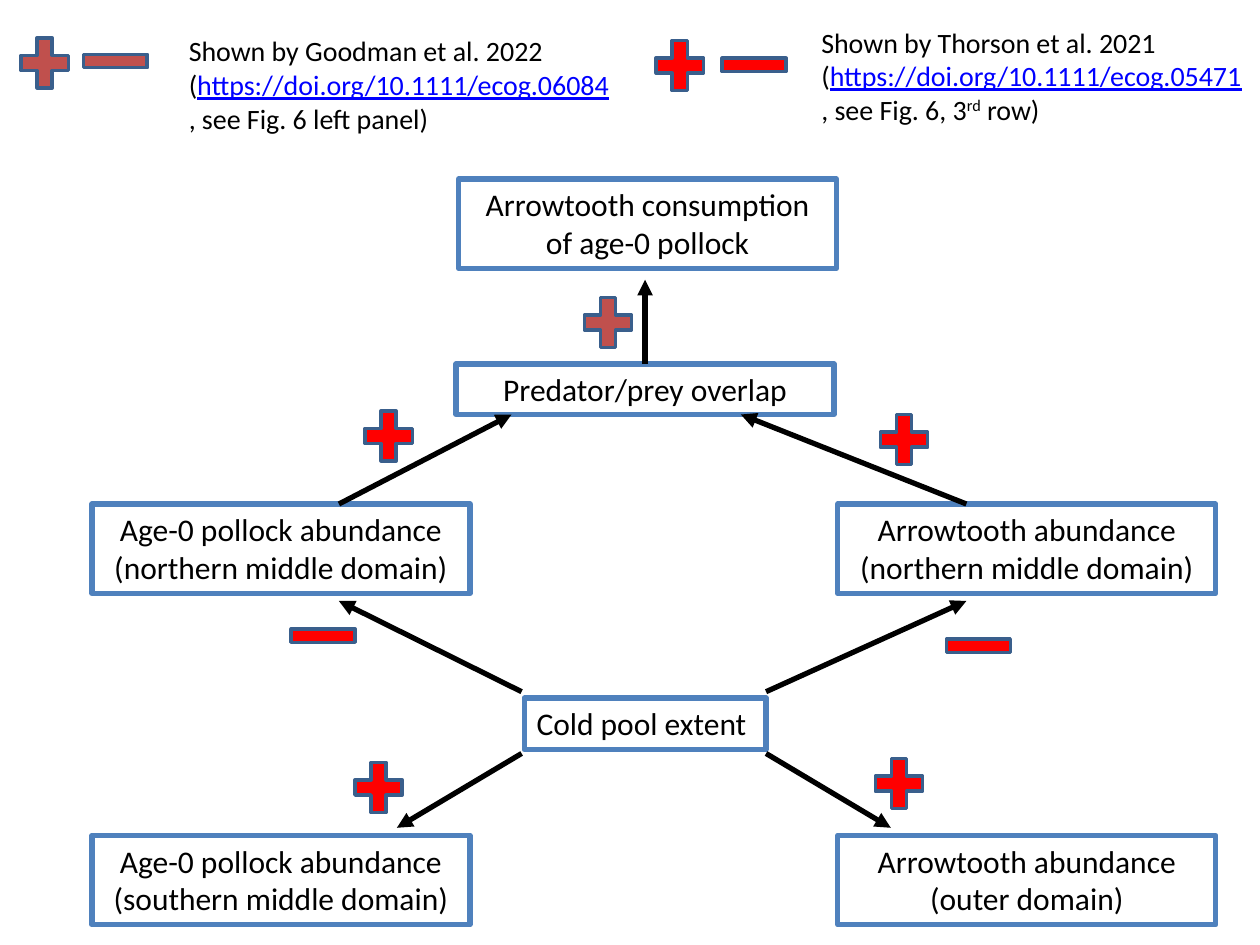
"""Build a slide of the links between cold pool extent and pollock consumption."""
from lxml import etree
from pptx import Presentation, util as u
from pptx.dml.color import RGBColor
from pptx.enum import shapes, text
from pptx.oxml.ns import qn

BLACK, BLUE, EDGE, LINK = "000000", "4F81BD", "3A5F8C", "0000FF"
GOODMAN, THORSON = "C0504D", "FF0000"


def colour(value):
    return RGBColor.from_string(value)


def add_span(para, words, size, shade=BLACK):
    span = para.add_run()
    span.text = words
    span.font.size = u.Pt(size)
    span.font.name = "Calibri"
    span.font.color.rgb = colour(shade)
    return span


deck = Presentation()
deck.slide_width, deck.slide_height = u.Inches(10), u.Inches(7.5)
page = deck.slides.add_slide(deck.slide_layouts[6])

left, right, wide = 0.73, 6.65, 3
north, south = 4, 6.63
centre = text.PP_ALIGN.CENTER
boxes = []
for x, y, width, height, align, lines in [
    (4.16, 5.54, 1.92, 0.41, text.PP_ALIGN.LEFT, ["Cold pool extent"]),
    (left, south, wide, 0.71, centre, ["Age-0 pollock abundance", "(southern middle domain)"]),
    (left, north, wide, 0.71, centre, ["Age-0 pollock abundance", "(northern middle domain)"]),
    (right, north, wide, 0.71, centre, ["Arrowtooth abundance", "(northern middle domain)"]),
    (right, south, wide, 0.71, centre, ["Arrowtooth abundance", "(outer domain)"]),
    (3.64, 1.42, wide, 0.71, centre, ["Arrowtooth consumption of age-0 pollock"]),
    (3.62, 2.89, wide, 0.4, centre, ["Predator/prey overlap"]),
]:
    box = page.shapes.add_shape(shapes.MSO_SHAPE.RECTANGLE, u.Inches(x), u.Inches(y), u.Inches(width), u.Inches(height))
    box.shadow.inherit = False
    box.fill.background()
    box.line.color.rgb = colour(BLUE)
    box.line.width = u.Pt(3)
    frame = box.text_frame
    frame.word_wrap = True
    frame.vertical_anchor = text.MSO_ANCHOR.TOP
    for index, line in enumerate(lines):
        para = frame.add_paragraph() if index else frame.paragraphs[0]
        para.alignment = align
        add_span(para, line, 18)
    boxes.append(box)
overlap = boxes[-1]

arrows = []
for x1, y1, x2, y2 in [
    (4.14, 5.98, 3.15, 6.57),
    (6.08, 5.98, 7.07, 6.57),
    (4.14, 5.49, 2.69, 4.77),
    (6.08, 5.49, 7.67, 4.77),
    (2.69, 4, 4.06, 3.29),
    (7.67, 4, 5.88, 3.29),
    (5.12, 2.89, 5.12, 2.22),
]:
    arrow = page.shapes.add_connector(
        shapes.MSO_CONNECTOR.STRAIGHT, u.Inches(x1), u.Inches(y1), u.Inches(x2), u.Inches(y2)
    )
    arrow.line.color.rgb = colour(BLACK)
    arrow.line.width = u.Pt(3)
    etree.SubElement(arrow.line._get_or_add_ln(), qn("a:tailEnd"), type="triangle")
    etree.SubElement(arrow._element.spPr, qn("a:effectLst"))
    arrows.append(arrow)
arrows[-1].begin_connect(overlap, 0)

plus = (shapes.MSO_SHAPE.MATH_PLUS, 0.51, 0.54)
minus = (shapes.MSO_SHAPE.MATH_MINUS, 0.69, 0.45)
for (kind, width, height), shade, places in [
    (plus, GOODMAN, [(0.1, 0.23), (4.57, 2.29)]),
    (minus, GOODMAN, [(0.57, 0.26)]),
    (plus, THORSON, [(5.14, 0.25), (2.83, 3.19), (6.92, 3.22), (2.75, 5.98), (6.88, 5.95)]),
    (minus, THORSON, [(5.64, 0.29), (2.22, 4.82), (7.42, 4.9)]),
]:
    for x, y in places:
        sign = page.shapes.add_shape(kind, u.Inches(x), u.Inches(y), u.Inches(width), u.Inches(height))
        sign.shadow.inherit = False
        sign.fill.solid()
        sign.fill.fore_color.rgb = colour(shade)
        sign.line.color.rgb = colour(EDGE)
        sign.line.width = u.Pt(2)

for x, y, study, address, ending in [
    (1.4, 0.22, "Goodman et al. 2022", "https://doi.org/10.1111/ecog.06084", [", see Fig. 6 left panel)"]),
    (6.42, 0.15, "Thorson et al. 2021", "https://doi.org/10.1111/ecog.05471", [", see Fig. 6, 3", "rd", " row)"]),
]:
    box = page.shapes.add_textbox(u.Inches(x), u.Inches(y), u.Inches(3.57), u.Inches(0.91))
    box.text_frame.word_wrap = True
    para = box.text_frame.paragraphs[0]
    add_span(para, f"Shown by {study} (", 16)
    add_span(para, address, 16, LINK).font.underline = True
    for words in ending:
        span = add_span(para, words, 16)
        if words == "rd":
            span._r.get_or_add_rPr().set("baseline", "30000")

deck.save("out.pptx")
